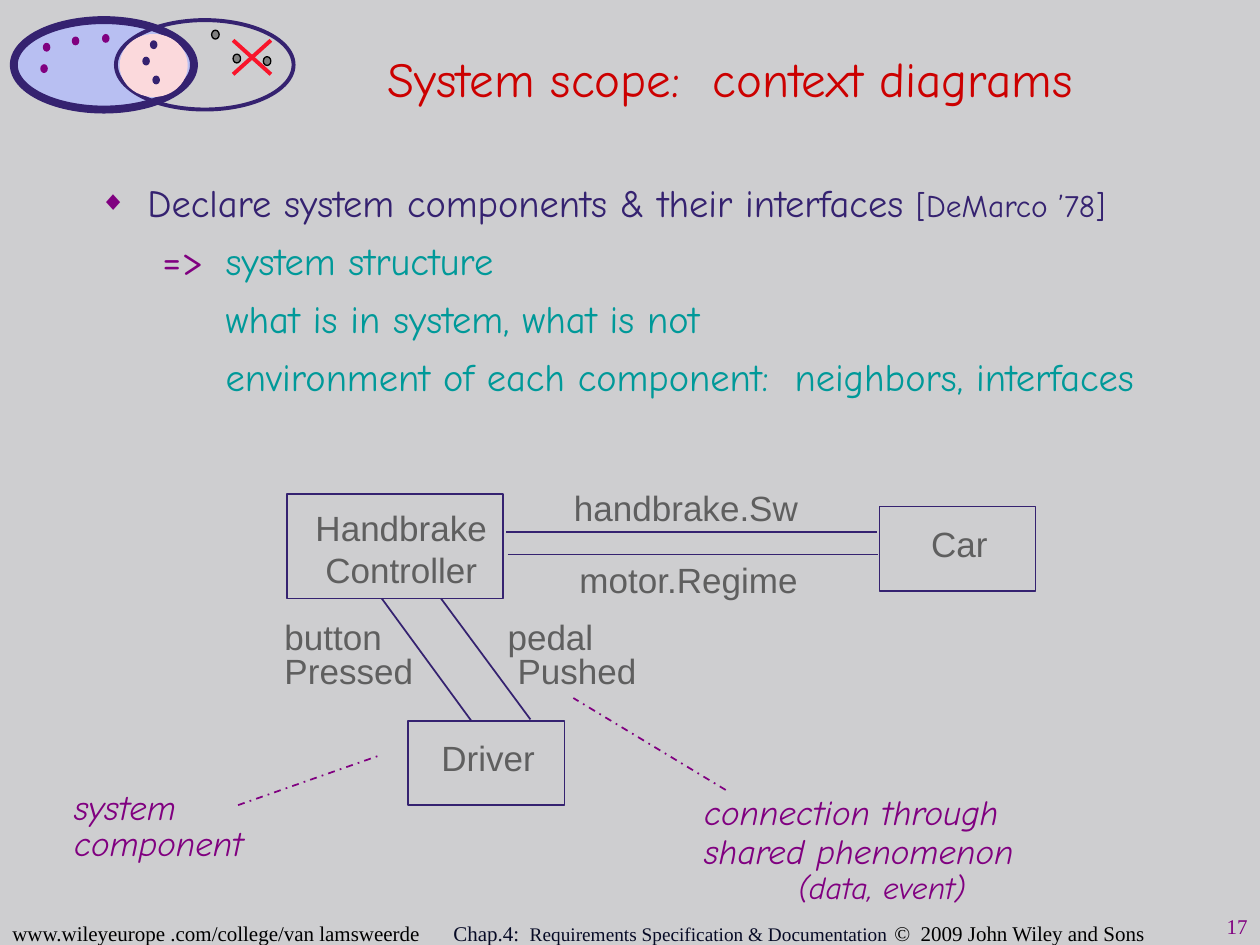
from lxml import etree
from pptx import Presentation
from pptx.dml.color import RGBColor
from pptx.enum.dml import MSO_LINE
from pptx.enum.shapes import MSO_CONNECTOR, MSO_SHAPE
from pptx.enum.text import MSO_ANCHOR, MSO_AUTO_SIZE, PP_ALIGN
from pptx.oxml.ns import qn
from pptx.util import Inches, Pt

LEFT, CENTER, RIGHT = PP_ALIGN.LEFT, PP_ALIGN.CENTER, PP_ALIGN.RIGHT
TOP, MIDDLE = MSO_ANCHOR.TOP, MSO_ANCHOR.MIDDLE
ELLIPSE, RECTANGLE = MSO_SHAPE.OVAL, MSO_SHAPE.RECTANGLE
STRAIGHT, DASH_DOT = MSO_CONNECTOR.STRAIGHT, MSO_LINE.DASH_DOT
NO_FIT = MSO_AUTO_SIZE.NONE

BACKGROUND = RGBColor(0xCE, 0xCE, 0xD0)
NAVY = RGBColor(0x35, 0x22, 0x70)
PURPLE = RGBColor(0x80, 0x00, 0x80)
TEAL = RGBColor(0x00, 0x99, 0x99)
TITLE_RED = RGBColor(0xCC, 0x00, 0x00)
CROSS_RED = RGBColor(0xF9, 0x15, 0x2B)
LAVENDER = RGBColor(0xB8, 0xBF, 0xF2)
PINK = RGBColor(0xFB, 0xD9, 0xDC)
DOT_GRAY = RGBColor(0x80, 0x80, 0x80)
LABEL_GRAY = RGBColor(0x5F, 0x5F, 0x5F)
INK = RGBColor(0x07, 0x0B, 0x26)
BLACK = RGBColor(0x00, 0x00, 0x00)

HAND, SANS, SERIF = "Comic Neue", "Arial", "Times New Roman"
COLUMNS, ROWS = 100, 75


def write(paragraph, text, *, font=SANS, size=20, color=LABEL_GRAY, italic=False):
    run = paragraph.add_run()
    run.text = text
    run.font.name = font
    run.font.size = Pt(size)
    run.font.color.rgb = color
    run.font.italic = italic


class ContextSlide:
    def __init__(self, deck):
        self.slide = deck.slides.add_slide(deck.slide_layouts[1])
        self.shapes = self.slide.shapes
        self.column = deck.slide_width / COLUMNS
        self.row = deck.slide_height / ROWS
        self.slide.background.fill.solid()
        self.slide.background.fill.fore_color.rgb = BACKGROUND

    def cells(self, left, top, width, height):
        return (round(left * self.column), round(top * self.row),
                round(width * self.column), round(height * self.row))

    def start_group(self):
        self.shapes = self.slide.shapes.add_group_shape().shapes

    def end_group(self):
        self.shapes = self.slide.shapes

    def placeholder(self, index, area):
        holder = self.slide.placeholders[index]
        holder.left, holder.top, holder.width, holder.height = self.cells(*area)
        frame = holder.text_frame
        frame.word_wrap = True
        frame.auto_size = NO_FIT
        frame.vertical_anchor = MIDDLE
        return frame

    def paragraph(self, frame, align=LEFT, spacing=1.0, before=0, level=0,
                  margin=0, indent=0, bullet=None, tabs=()):
        first = frame.paragraphs[0]
        paragraph = frame.add_paragraph() if first.runs else first
        paragraph.level = level
        properties = paragraph._p.get_or_add_pPr()
        properties.set("marL", str(Inches(margin)))
        properties.set("indent", str(Inches(indent)))
        if bullet:
            color = etree.SubElement(properties, qn("a:buClr"))
            etree.SubElement(color, qn("a:srgbClr")).set("val", str(PURPLE))
            etree.SubElement(properties, qn("a:buSzPct")).set("val", "70000")
            etree.SubElement(properties, qn("a:buChar")).set("char", bullet)
        else:
            etree.SubElement(properties, qn("a:buNone"))
        if tabs:
            stops = etree.SubElement(properties, qn("a:tabLst"))
            for position in tabs:
                stop = etree.SubElement(stops, qn("a:tab"))
                stop.set("pos", str(Inches(position)))
                stop.set("algn", "l")
        paragraph.alignment = align
        paragraph.line_spacing = spacing
        paragraph.space_before = Pt(before)
        return paragraph

    def text_box(self, area, anchor=TOP):
        frame = self.shapes.add_textbox(*self.cells(*area)).text_frame
        frame.word_wrap = True
        frame.vertical_anchor = anchor
        return frame

    def label(self, area, lines, aligns=(CENTER, CENTER), spacing=1.0):
        frame = self.text_box(area)
        for line, align in zip(lines, aligns):
            write(self.paragraph(frame, align, spacing), line)

    def annotation(self, area, lines):
        frame = self.text_box(area, MIDDLE)
        for text, align, spacing, size in lines:
            write(self.paragraph(frame, align, spacing), text,
                  font=HAND, size=size, color=PURPLE, italic=True)

    def shape(self, kind, area, fill=None, line=None, weight=1):
        shape = self.shapes.add_shape(kind, *self.cells(*area))
        shape.shadow.inherit = False
        if fill is None:
            shape.fill.background()
        else:
            shape.fill.solid()
            shape.fill.fore_color.rgb = fill
        if line is None:
            shape.line.fill.background()
        else:
            shape.line.color.rgb = line
            shape.line.width = Pt(weight)

    def dots(self, corners, fill, line=None):
        for left, top in corners:
            self.shape(ELLIPSE, (left, top, 0.6, 0.7), fill, line, 0.75)

    def line(self, start, end, color=NAVY, weight=1, dash=None):
        line = self.shapes.add_connector(STRAIGHT, *self.cells(*start, *end))
        line.line.color.rgb = color
        line.line.width = Pt(weight)
        if dash is not None:
            line.line.dash_style = dash
        etree.SubElement(line._element.spPr, qn("a:effectLst"))


def add_footer(page):
    number = page.text_box((89.7, 71.6, 10.3, 3.4))
    write(page.paragraph(number, RIGHT, 1.2), "17", font=SERIF, size=12, color=PURPLE)
    footer = page.paragraph(page.text_box((0, 72.6, 99.7, 3)), tabs=(3.57, 7.48))
    for text, size, color in (
            ("www.wileyeurope .com/college/van lamsweerde\t", 12, BLACK),
            ("Chap.4:  ", 12, INK),
            ("Requirements Specification & Documentation", 11, INK),
            ("\t©  2009 John Wiley and Sons", 12, BLACK)):
        write(footer, text, font=SERIF, size=size, color=color)


def add_outline(page):
    title = page.placeholder(0, (17.1, 2, 81.7, 8.3))
    write(page.paragraph(title, CENTER), "System scope:  context diagrams",
          font=HAND, size=28, color=TITLE_RED)

    body = page.placeholder(1, (6.9, 14.3, 92.4, 16.6))
    declare = page.paragraph(body, spacing=1.2, margin=0.38, indent=-0.38, bullet="◆")
    write(declare, "Declare system components & their interfaces ",
          font=HAND, size=22, color=NAVY)
    write(declare, "[DeMarco ’78]", font=HAND, size=18, color=NAVY)
    structure = page.paragraph(body, spacing=0.9, before=8, level=1,
                               margin=0.5, tabs=(1.81,))
    write(structure, "=>", font=HAND, size=24, color=PURPLE)
    write(structure, "\tsystem structure", font=HAND, size=22, color=TEAL)
    for text in ("what is in system, what is not",
                 "environment of each component:  neighbors, interfaces"):
        detail = page.paragraph(body, spacing=0.9, before=9, level=2, margin=1)
        write(detail, text, font=HAND, size=22, color=TEAL)


def add_scope_emblem(page):
    page.start_group()
    page.shape(ELLIPSE, (1.1, 1.6, 14.3, 7.1), LAVENDER, NAVY, 4.5)
    page.shape(ELLIPSE, (9.2, 1.6, 14.1, 7.1), None, NAVY, 2.25)
    page.dots(((3.4, 3.4), (5.7, 2.9), (3.2, 5.1), (8.1, 2.7)), PURPLE)
    page.dots(((16.8, 2.4), (18.5, 4.3), (20.9, 4.5)), DOT_GRAY, BLACK)
    for start, end in ((5.9, 3.2), (3.2, 5.9)):
        left, right = 18.5, 21.5
        cross = page.shapes.add_connector(
            STRAIGHT, *page.cells(left, start, right, end))
        cross.line.color.rgb = CROSS_RED
        cross.line.width = Pt(2.25)
        etree.SubElement(cross._element.spPr, qn("a:effectLst"))
    page.shape(ELLIPSE, (9.5, 2.7, 5.4, 5), PINK)
    page.dots(((11.9, 3.2), (12.1, 6), (11.3, 4.5)), NAVY)
    page.end_group()


def add_context_diagram(page):
    page.shape(RECTANGLE, (22.8, 39.2, 17.1, 8.3), line=NAVY)
    page.label((23.5, 39.7, 16.7, 7.3), ("Handbrake", "Controller"))
    for name, left, top in (("Driver", 32.4, 57.2), ("Car", 69.8, 40.2)):
        page.shape(RECTANGLE, (left, top, 12.4, 6.7), line=NAVY)
        page.label((left + 1.2, top + 0.8, 10.3, 4.3), (name,))

    for start, end in (((40.2, 42.2), (69.6, 42.2)), ((40.3, 44), (69.7, 44)),
                       ((30.3, 47.5), (37.4, 57.2)), ((35, 47.5), (42.1, 57.1))):
        page.line(start, end)
    page.label((40.7, 38.1, 27.5, 4.3), ("handbrake.Sw",))
    page.label((40.9, 43.8, 27.5, 4.3), ("motor.Regime",))
    page.label((21.6, 49, 13.3, 6.4), ("button", "Pressed"), (LEFT, LEFT), 0.8)
    page.label((39.3, 49, 12.2, 6.4), ("pedal", "Pushed"), (LEFT, RIGHT), 0.8)

    page.annotation((4.9, 62.2, 17.4, 6.5), (
        ("system", LEFT, 1.0, 20), ("component", LEFT, 0.85, 20)))
    page.annotation((54.9, 62.9, 30.2, 8.9), (
        ("connection through", LEFT, 1.0, 20),
        ("shared phenomenon", LEFT, 0.95, 20),
        ("(data, event)", CENTER, 0.9, 18)))
    page.line((18.9, 63.9), (30, 60), PURPLE, dash=DASH_DOT)
    page.line((57.6, 62.7), (45.5, 55.4), PURPLE, dash=DASH_DOT)


def main():
    deck = Presentation()
    deck.slide_width, deck.slide_height = Inches(10), Inches(7.5)
    page = ContextSlide(deck)
    add_footer(page)
    add_outline(page)
    add_scope_emblem(page)
    add_context_diagram(page)
    deck.save("out.pptx")


if __name__ == "__main__":
    main()
